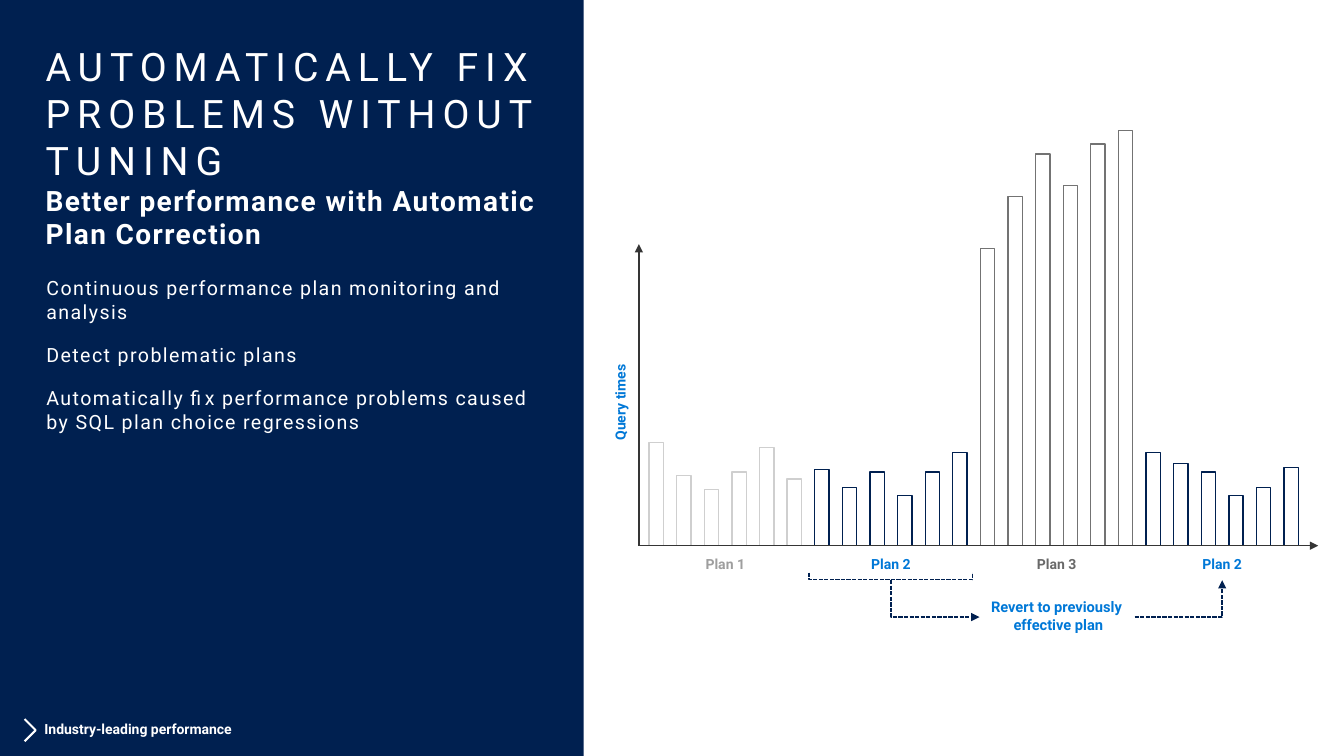
from lxml import etree
from pptx import Presentation
from pptx.dml.color import RGBColor
from pptx.enum.dml import MSO_LINE
from pptx.enum.shapes import MSO_CONNECTOR, MSO_SHAPE
from pptx.enum.text import PP_ALIGN
from pptx.oxml.ns import qn
from pptx.util import Cm, Pt

RECT = MSO_SHAPE.RECTANGLE
STRAIGHT = MSO_CONNECTOR.STRAIGHT
DASH = MSO_LINE.SQUARE_DOT
LEFT, CENTER = PP_ALIGN.LEFT, PP_ALIGN.CENTER
FONT = "Roboto"
COLORS = {
    "navy": "002050", "white": "FFFFFF", "blue": "0078D7", "axis": "353535",
    "pale": "CFCFCF", "gray": "737373", "pale_text": "9E9E9E", "gray_text": "696969",
}
PLANS = [
    ("Plan 1", "pale", "pale_text", [2.6, 1.77, 1.42, 1.86, 2.48, 1.68]),
    ("Plan 2", "navy", "blue", [1.92, 1.46, 1.86, 1.26, 1.86, 2.35]),
    ("Plan 3", "gray", "gray_text", [7.48, 8.8, 9.87, 9.08, 10.12, 10.46]),
    ("Plan 2", "navy", "blue", [2.35, 2.07, 1.86, 1.26, 1.46, 1.97]),
]


def rgb(name):
    return RGBColor.from_string(COLORS[name])


def set_font(font, size, color, bold=False):
    font.name = FONT
    font.size = Pt(size)
    font.bold = bold
    font.color.rgb = rgb(color)


def add_arrowhead(sp):
    etree.SubElement(sp.line._get_or_add_ln(), qn("a:tailEnd"), type="triangle")


def add_box(s, x, y, w, h, inset=(0.25, 0.13), wrap=True):
    sp = s.shapes.add_textbox(Cm(x), Cm(y), Cm(w), Cm(h))
    tf = sp.text_frame
    tf.word_wrap = wrap
    tf.margin_left = tf.margin_right = Cm(inset[0])
    tf.margin_top = tf.margin_bottom = Cm(inset[1])
    return sp


def add_label(s, text, cx, y, w, h, size, color):
    sp = add_box(s, cx - w / 2, y, w, h, wrap=False)
    p = sp.text_frame.paragraphs[0]
    p.text = text
    p.alignment = CENTER
    set_font(p.font, size, color, True)
    return sp


def add_rect(s, x, y, w, h, fill, line=None):
    sp = s.shapes.add_shape(RECT, Cm(x), Cm(y), Cm(w), Cm(h))
    sp.shadow.inherit = False
    sp.fill.solid()
    sp.fill.fore_color.rgb = rgb(fill)
    if line:
        sp.line.color.rgb = rgb(line)
        sp.line.width = Pt(1)
    else:
        sp.line.fill.background()


def add_path(s, points, color, width=1, dashed=False, arrow=False):
    points = [(Cm(x), Cm(y)) for x, y in points]
    builder = s.shapes.build_freeform(*points[0])
    builder.add_line_segments(points[1:], close=False)
    sp = builder.convert_to_shape()
    sp.shadow.inherit = False
    sp.fill.background()
    sp.line.color.rgb = rgb(color)
    sp.line.width = Pt(width)
    if dashed:
        sp.line.dash_style = DASH
    if arrow:
        add_arrowhead(sp)


def add_axis(s, x1, y1, x2, y2):
    cn = s.shapes.add_connector(STRAIGHT, Cm(x1), Cm(y1), Cm(x2), Cm(y2))
    cn.line.color.rgb = rgb("axis")
    cn.line.width = Pt(1)
    add_arrowhead(cn)
    etree.SubElement(cn._element.spPr, qn("a:effectLst"))


def add_message_panel(s, x, y, w, h):
    add_rect(s, x, y, w, h, "navy")

    tf = add_box(s, x + 0.74, y + 0.81, w - 1.45, 2.9, (0.41, 0.25)).text_frame
    p = tf.paragraphs[0]
    for i, (text, size, spacing, bold) in enumerate([
        ("AUTOMATICALLY FIX PROBLEMS WITHOUT TUNING", 28, 500, False),
        ("Better performance with Automatic Plan Correction", 20, 100, True),
    ]):
        if i:
            p.add_line_break()
        r = p.add_run()
        r.text = text
        set_font(r.font, size, "white", bold)
        r.font._element.set("spc", str(spacing))

    tf = add_box(s, x + 0.76, y + 6.71, w - 1.45, 4.5, (0.41, 0.25)).text_frame
    for i, text in enumerate([
        "Continuous performance plan monitoring and analysis",
        "Detect problematic plans",
        "Automatically fix performance problems caused by SQL plan choice regressions",
    ]):
        p = tf.add_paragraph() if i else tf.paragraphs[0]
        if i:
            p.space_before = Pt(14)
        r = p.add_run()
        r.text = text
        r.font._element.set("spc", "100")
        set_font(p.font, 14, "white")

    mid = y + h - 0.65
    add_path(s, [(x + 0.62, mid - 0.28), (x + 0.9, mid), (x + 0.62, mid + 0.28)], "white", 1.5)
    tf = add_box(s, x + 0.61, mid - 0.32, 8.51, 0.66).text_frame
    tf.margin_left = Cm(0.51)
    p = tf.paragraphs[0]
    p.text = "Industry-leading performance"
    p.alignment = LEFT
    p.line_spacing = 0.9
    set_font(p.font, 10, "white", True)


def add_query_chart(s, x, y, w, h):
    base = y + h
    bar_w, pitch = 0.36, 16 / 23
    centers = []
    for g, (name, line, color, heights) in enumerate(PLANS):
        left = x + 0.26 + g * len(heights) * pitch
        for i, bar_h in enumerate(heights):
            add_rect(s, left + i * pitch, base - bar_h, bar_w, bar_h, "white", line)
        centers.append(left + ((len(heights) - 1) * pitch + bar_w) / 2)
        add_label(s, name, centers[g], base + 0.12, 1.57, 0.69, 10, color)

    add_axis(s, x, base, x, base - 7.6)
    add_axis(s, x, base, x + w, base)
    add_label(s, "Query times", x - 0.47, base - 3.95, 2.59, 0.69, 10, "blue").rotation = 270

    _, old, bad, new = centers
    top, low = base + 0.87, base + 1.8
    add_label(s, "Revert to previously\v effective plan", bad, base + 1.19, 4.11, 1.17, 10.5, "blue")
    bracket = [(old - 2.06, top - 0.19), (old - 2.06, top - 0.01),
               (old + 2.06, top - 0.01), (old + 2.06, top - 0.19)]
    add_path(s, bracket, "navy", dashed=True)
    for route in ([(old, top), (old, low), (bad - 1.94, low)],
                  [(bad + 1.97, low), (new, low), (new, top)]):
        add_path(s, route, "navy", dashed=True, arrow=True)


def main():
    prs = Presentation()
    prs.slide_width, prs.slide_height = Cm(33.87), Cm(19.05)
    s = prs.slides.add_slide(prs.slide_layouts[6])
    add_message_panel(s, 0, 0, 14.71, 19.05)
    add_query_chart(s, 16.1, 3.3, 17.12, 10.45)
    prs.save("out.pptx")


if __name__ == "__main__":
    main()
